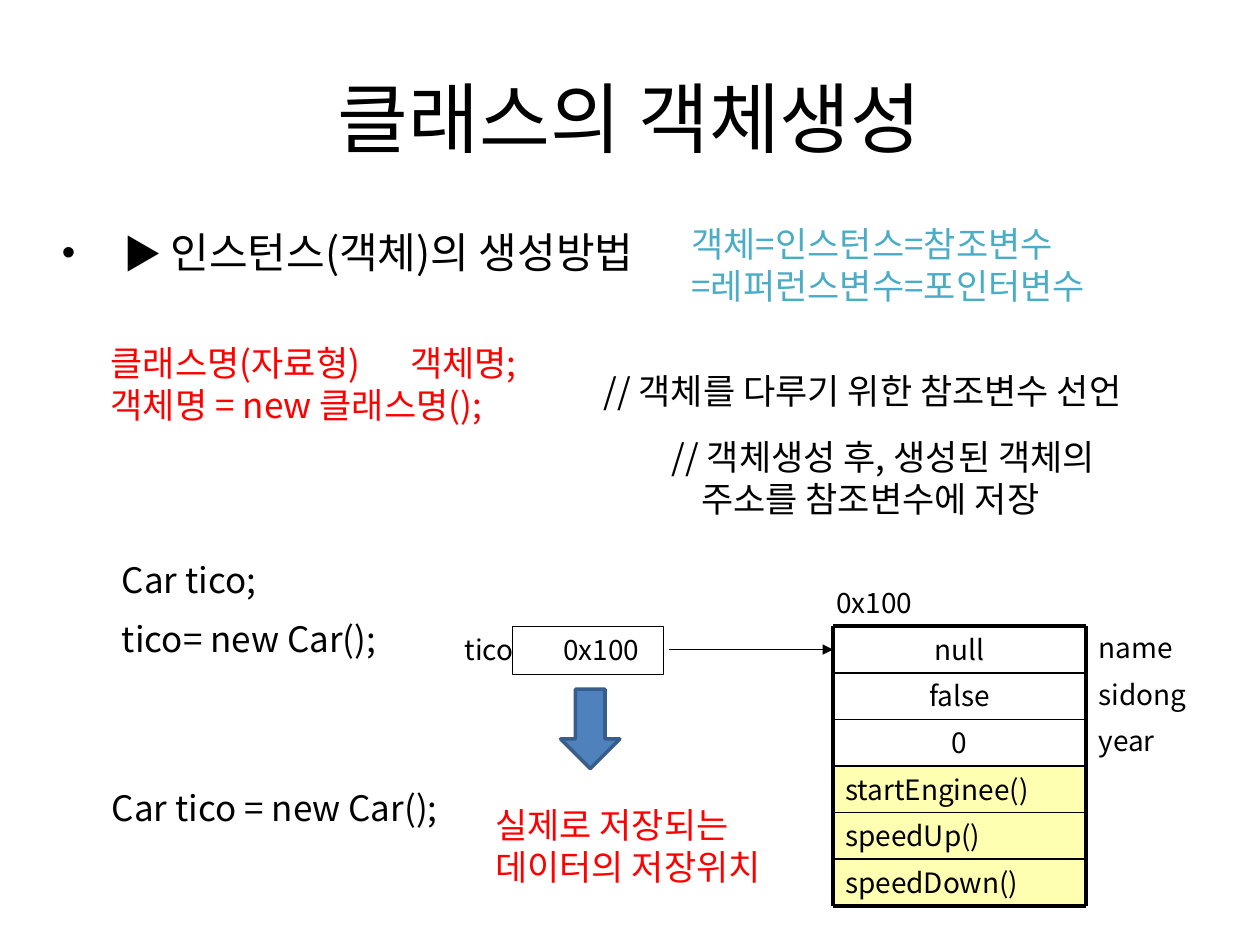
"""Build a slide on how class objects are created and referenced."""
from dataclasses import dataclass
from typing import Any

from lxml.etree import SubElement as Sub
from pptx import Presentation
from pptx.dml.color import RGBColor as Rgb
from pptx.enum.shapes import MSO_CONNECTOR as Link, MSO_SHAPE as Kind
from pptx.enum.text import MSO_ANCHOR as Anchor, MSO_AUTO_SIZE as Fit, PP_ALIGN as Align
from pptx.oxml.ns import qn
from pptx.util import Pt


@dataclass(frozen=True)
class Theme:
    """Colours, font and type sizes of the slide."""
    font: str = "Noto Sans CJK KR"
    ink: str = "000000"
    red: str = "FF0000"
    teal: str = "4BACC6"
    blue: str = "4F81BD"
    edge: str = "385D8A"
    lemon: str = "FFFF66"
    title: float = 44
    lead: float = 24
    mark: float = 22
    text: float = 20
    small: float = 16
    bold: float = 2.25
    thin: float = 1


@dataclass(frozen=True)
class Box:
    """A rectangle in points."""
    left: float
    top: float
    width: float
    height: float

    def emu(self) -> list[Pt]:
        """Return the four lengths for python-pptx."""
        return [Pt(v) for v in (self.left, self.top, self.width, self.height)]


@dataclass(frozen=True)
class Note:
    """A free text with its place and look."""
    box: Box
    lines: tuple[str, ...]
    color: str
    size: float
    inset: float = 0
    tab: float = 0


@dataclass(frozen=True)
class Row:
    """A memory row with its value or method and its field label."""
    text: str
    label: str = ""


LOOK = Theme()
GRID = Box(476, 357.9, 144.7, 159.6)
STEP = GRID.height / 6
ROWS = (Row("null", "name"), Row("false", "sidong"), Row("0", "year"),
        Row("startEnginee()"), Row("speedUp()"), Row("speedDown()"))
ONE, TWO = 31.7, 55.4
NOTES = (
    Note(Box(56.9, 445.7, 221, ONE), ("Car tico = new Car();",), LOOK.ink, LOOK.text),
    Note(Box(62.6, 315.4, 121.7, ONE), ("Car tico;",), LOOK.ink, LOOK.text),
    Note(Box(62.6, 349.2, 181.4, ONE), ("tico= new Car();",), LOOK.ink, LOOK.text),
    Note(Box(56.2, 191.5, 286.6, TWO), ("클래스명(자료형)\t객체명;", "객체명 = new 클래스명();"),
         LOOK.red, LOOK.text, tab=171),
    Note(Box(376.6, 245.5, 329, TWO), ("// 객체생성 후, 생성된 객체의", "주소를 참조변수에 저장"),
         LOOK.ink, LOOK.text, inset=17),
    Note(Box(337.7, 207.4, 357, ONE), ("// 객체를 다루기 위한 참조변수 선언",), LOOK.ink, LOOK.text),
    Note(Box(388, 123.8, 270, TWO), ("객체=인스턴스=참조변수", "=레퍼런스변수=포인터변수"),
         LOOK.teal, LOOK.text),
    Note(Box(275.8, 455.8, 196.6, TWO), ("실제로 저장되는", "데이터의 저장위치"), LOOK.red, LOOK.text),
    Note(Box(258.5, GRID.top, 91.4, STEP), ("tico",), LOOK.ink, LOOK.small),
    Note(Box(470.9, 331.2, 73.4, STEP), ("0x100",), LOOK.ink, LOOK.small),
)


def put(obj: Any, vals: dict[str, Any]) -> None:
    """Set each named value on an object."""
    for name, val in vals.items():
        setattr(obj, name, val)


def write(para: Any, text: str, size: float, color: str = LOOK.ink) -> None:
    """Add a styled run to a paragraph."""
    run = para.add_run()
    run.text = text
    put(run.font, {"size": Pt(size), "name": LOOK.font})
    run.font.color.rgb = Rgb.from_string(color)
    Sub(run.font._element, qn("a:ea"), typeface=LOOK.font)


def note(slide: Any, item: Note) -> None:
    """Draw a free text that grows with its lines."""
    frame = slide.shapes.add_textbox(*item.box.emu()).text_frame
    put(frame, {"word_wrap": True, "auto_size": Fit.SHAPE_TO_FIT_TEXT})
    for num, line in enumerate(item.lines):
        para = frame.add_paragraph() if num else frame.paragraphs[0]
        prop = para._p.get_or_add_pPr()
        if num and item.inset:
            prop.set("marL", str(Pt(item.inset)))
        if "\t" in line:
            tabs = Sub(prop, qn("a:tabLst"))
            Sub(tabs, qn("a:tab"), pos=str(Pt(item.tab)), algn="l")
        write(para, line, item.size, item.color)


def cell(slide: Any, box: Box, text: str, tint: bool = False) -> Any:
    """Draw one memory cell, tinted and left-aligned for a method."""
    shape = slide.shapes.add_shape(Kind.RECTANGLE, *box.emu())
    shape.shadow.inherit = False
    shape.line.fill.background()
    if tint:
        shape.fill.solid()
        shape.fill.fore_color.rgb = Rgb.from_string(LOOK.lemon)
        color = shape.fill._xPr.find(qn("a:solidFill"))[0]
        Sub(color, qn("a:alpha"), val="50000")
    else:
        shape.fill.background()
    frame = shape.text_frame
    put(frame, {"word_wrap": True, "vertical_anchor": Anchor.TOP})
    para = frame.paragraphs[0]
    para.alignment = Align.LEFT if tint else Align.CENTER
    write(para, text, LOOK.small)
    return shape


def rule(slide: Any, ends: tuple[float, ...], width: float) -> Any:
    """Draw a straight black line."""
    line = slide.shapes.add_connector(Link.STRAIGHT, *(Pt(v) for v in ends))
    line.line.color.rgb = Rgb.from_string(LOOK.ink)
    line.line.width = Pt(width)
    Sub(line._element.spPr, qn("a:effectLst"))
    return line


def head(slide: Any) -> None:
    """Fill the title and the lead bullet."""
    title, body = slide.placeholders
    for shape, box in ((title, Box(36, 21.6, 648, 90)), (body, Box(28.1, 126, 656, 105.8))):
        put(shape, dict(zip(("left", "top", "width", "height"), box.emu())))
    write(title.text_frame.paragraphs[0], "클래스의 객체생성", LOOK.title)
    body.text_frame.auto_size = Fit.NONE
    para = body.text_frame.paragraphs[0]
    prop = para._p.get_or_add_pPr()
    put(para, {"space_before": Pt(0)})
    put(prop, {})
    for name, val in {"marL": 35.3, "indent": -35.3}.items():
        prop.set(name, str(Pt(val)))
    Sub(prop, qn("a:buChar"), char="•")
    write(para, "▶ ", LOOK.mark)
    write(para, "인스턴스(객체)의 생성방법", LOOK.lead)


def grid(slide: Any) -> Any:
    """Draw the memory rows and return the first cell."""
    cells = []
    right, foot = GRID.left + GRID.width, GRID.top + GRID.height
    for num, row in enumerate(ROWS):
        top = GRID.top + num * STEP
        box = Box(GRID.left, top, GRID.width, STEP)
        cells.append(cell(slide, box, row.text, not row.label))
        if row.label:
            note(slide, Note(Box(right, top - 1, 90, STEP), (row.label,), LOOK.ink, LOOK.small))
    for num in range(len(ROWS) + 1):
        top = GRID.top + num * STEP
        rule(slide, (GRID.left, top, right, top),
             LOOK.bold if num in (0, len(ROWS)) else LOOK.thin)
    for left in (GRID.left, right):
        rule(slide, (left, GRID.top, left, foot), LOOK.bold)
    return cells[0]


def shape(slide: Any, kind: Any, box: Box, fill: str, edge: str, width: float) -> None:
    """Draw a plain preset shape."""
    item = slide.shapes.add_shape(kind, *box.emu())
    item.shadow.inherit = False
    if fill:
        item.fill.solid()
        item.fill.fore_color.rgb = Rgb.from_string(fill)
    else:
        item.fill.background()
    item.line.color.rgb = Rgb.from_string(edge)
    item.line.width = Pt(width)


def main() -> None:
    """Build and save the slide."""
    deck = Presentation()
    put(deck, {"slide_width": Pt(720), "slide_height": Pt(540)})
    slide = deck.slides.add_slide(deck.slide_layouts[1])
    head(slide)
    for item in NOTES:
        note(slide, item)
    shape(slide, Kind.RECTANGLE, Box(293, GRID.top, 86.4, 27.4), "", LOOK.ink, 0.75)
    first = grid(slide)
    value = cell(slide, Box(304.6, GRID.top, 77.8, STEP), "0x100")
    arrow = rule(slide, (382.4, 371.2, GRID.left, 371.2), LOOK.thin)
    arrow.begin_connect(value, 3)
    arrow.end_connect(first, 1)
    Sub(arrow.line._get_or_add_ln(), qn("a:tailEnd"), type="triangle")
    shape(slide, Kind.DOWN_ARROW, Box(320.4, 393.8, 33.8, 45.4), LOOK.blue, LOOK.edge, 2)
    deck.save("out.pptx")


if __name__ == "__main__":
    main()
